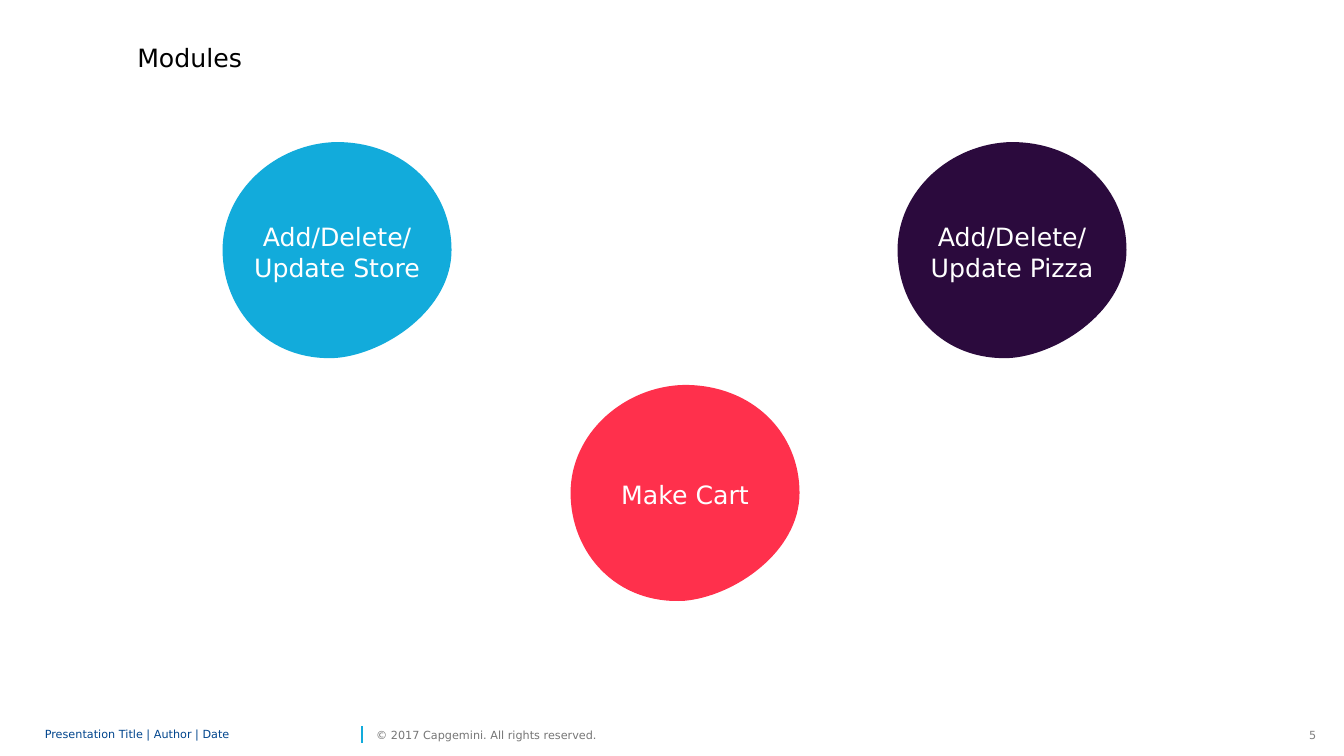
from dataclasses import dataclass

import pptx
import pptx.dml.color
import pptx.enum.shapes
import pptx.enum.text
import pptx.oxml.ns
import pptx.shapes.autoshape
import pptx.slide
import pptx.text.text
import pptx.util
from lxml import etree

Cm = pptx.util.Cm
RGBColor = pptx.dml.color.RGBColor
Align = pptx.enum.text.PP_ALIGN
Anchor = pptx.enum.text.MSO_ANCHOR
qn = pptx.oxml.ns.qn

FONT = "DejaVu Sans"
BLACK = RGBColor(0x00, 0x00, 0x00)
WHITE = RGBColor(0xFF, 0xFF, 0xFF)
CYAN = RGBColor(0x12, 0xAB, 0xDB)
PURPLE = RGBColor(0x2B, 0x0A, 0x3D)
RED = RGBColor(0xFF, 0x30, 0x4C)
NAVY = RGBColor(0x00, 0x45, 0x8D)
GREY = RGBColor(0x80, 0x80, 0x80)
DARK_GREY = RGBColor(0x76, 0x76, 0x76)

# Bubble outline in centimetres: each curve has two control points and an end.
BUBBLE_START = (0, 2.72)
BUBBLE_CURVES = [
    ((0, 1.22), (1.35, 0.03), (2.87, 0)),
    ((4.6, 0), (5.77, 1.22), (5.77, 2.72)),
    ((5.77, 4.22), (4.11, 5.33), (2.87, 5.44)),
    ((1.14, 5.54), (0, 4.22), (0, 2.72)),
]


@dataclass(frozen=True)
class Module:
    label: str
    left: float
    top: float
    color: RGBColor


@dataclass(frozen=True)
class FooterText:
    text: str
    left: float
    width: float
    color: RGBColor
    align: Align = Align.LEFT
    line_spacing: float = 1.0


MODULES = [
    Module("Make Cart", 14.38, 9.7, RED),
    Module("Add/Delete/Update Store", 5.61, 3.58, CYAN),
    Module("Add/Delete/Update Pizza", 22.62, 3.58, PURPLE),
]
FOOTER_TOP, FOOTER_HEIGHT = 18.21, 0.61
FOOTER = [
    FooterText("Presentation Title | Author | Date", 1.13, 7.85, NAVY, line_spacing=0.85),
    FooterText("© 2017 Capgemini. All rights reserved.", 9.48, 6.17, DARK_GREY),
    FooterText("5", 32.4, 0.77, GREY, Align.RIGHT),
]


def write_text(
    frame: pptx.text.text.TextFrame,
    text: str,
    *,
    size: float,
    color: RGBColor,
    align: Align = Align.LEFT,
    anchor: Anchor = Anchor.MIDDLE,
    line_spacing: float = 1.0,
    insets: bool = True,
) -> None:
    frame.word_wrap = True
    frame.vertical_anchor = anchor
    if not insets:
        frame.margin_left = frame.margin_right = 0
        frame.margin_top = frame.margin_bottom = 0
    paragraph = frame.paragraphs[0]
    paragraph.alignment = align
    paragraph.line_spacing = line_spacing
    run = paragraph.add_run()
    run.text = text
    run.font.name = FONT
    run.font.size = pptx.util.Pt(size)
    run.font.color.rgb = color


def round_outline(shape: pptx.shapes.autoshape.Shape) -> None:
    """Turn every three line segments of a freeform into one cubic curve."""
    outline = shape._element.find(".//" + qn("a:path"))
    segments = outline.findall(qn("a:lnTo"))
    for index in range(0, len(segments), 3):
        curve = etree.Element(qn("a:cubicBezTo"))
        segments[index].addprevious(curve)
        for segment in segments[index:index + 3]:
            curve.append(segment[0])
            outline.remove(segment)


def add_module(slide: pptx.slide.Slide, module: Module) -> None:
    def place(x: float, y: float) -> tuple[int, int]:
        return Cm(module.left + x), Cm(module.top + y)

    builder = slide.shapes.build_freeform(*place(*BUBBLE_START))
    points = [place(*point) for curve in BUBBLE_CURVES for point in curve]
    builder.add_line_segments(points, close=True)
    shape = builder.convert_to_shape()
    round_outline(shape)
    shape.shadow.inherit = False
    shape.fill.solid()
    shape.fill.fore_color.rgb = module.color
    shape.line.fill.background()
    write_text(shape.text_frame, module.label, size=18, color=WHITE, align=Align.CENTER)


def add_footer(slide: pptx.slide.Slide) -> None:
    for item in FOOTER:
        box = slide.shapes.add_textbox(
            Cm(item.left), Cm(FOOTER_TOP), Cm(item.width), Cm(FOOTER_HEIGHT)
        )
        write_text(
            box.text_frame, item.text, size=8, color=item.color, align=item.align,
            line_spacing=item.line_spacing, insets=False,
        )
    divider = slide.shapes.add_connector(
        pptx.enum.shapes.MSO_CONNECTOR.STRAIGHT, Cm(9.12), Cm(18.72), Cm(9.12), Cm(18.29)
    )
    divider.line.color.rgb = CYAN
    divider.line.width = pptx.util.Pt(1)
    etree.SubElement(divider._element.spPr, qn("a:effectLst"))


def main() -> None:
    presentation = pptx.Presentation()
    presentation.slide_width = Cm(33.87)
    presentation.slide_height = Cm(19.05)
    slide = presentation.slides.add_slide(presentation.slide_layouts[6])
    add_footer(slide)
    title = slide.shapes.add_textbox(Cm(3.21), Cm(0.94), Cm(15.93), Cm(1.02))
    write_text(title.text_frame, "Modules", size=18, color=BLACK, anchor=Anchor.TOP)
    for module in MODULES:
        add_module(slide, module)
    presentation.save("out.pptx")


if __name__ == "__main__":
    main()
